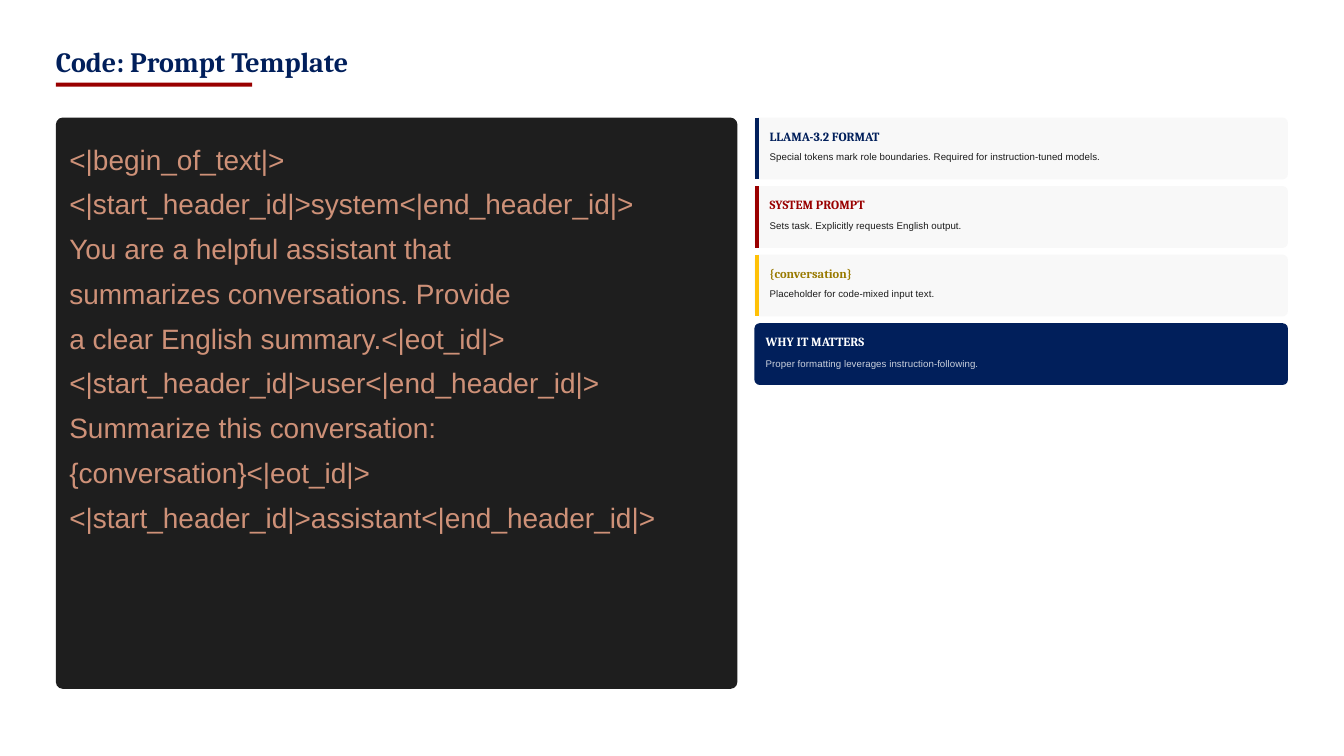
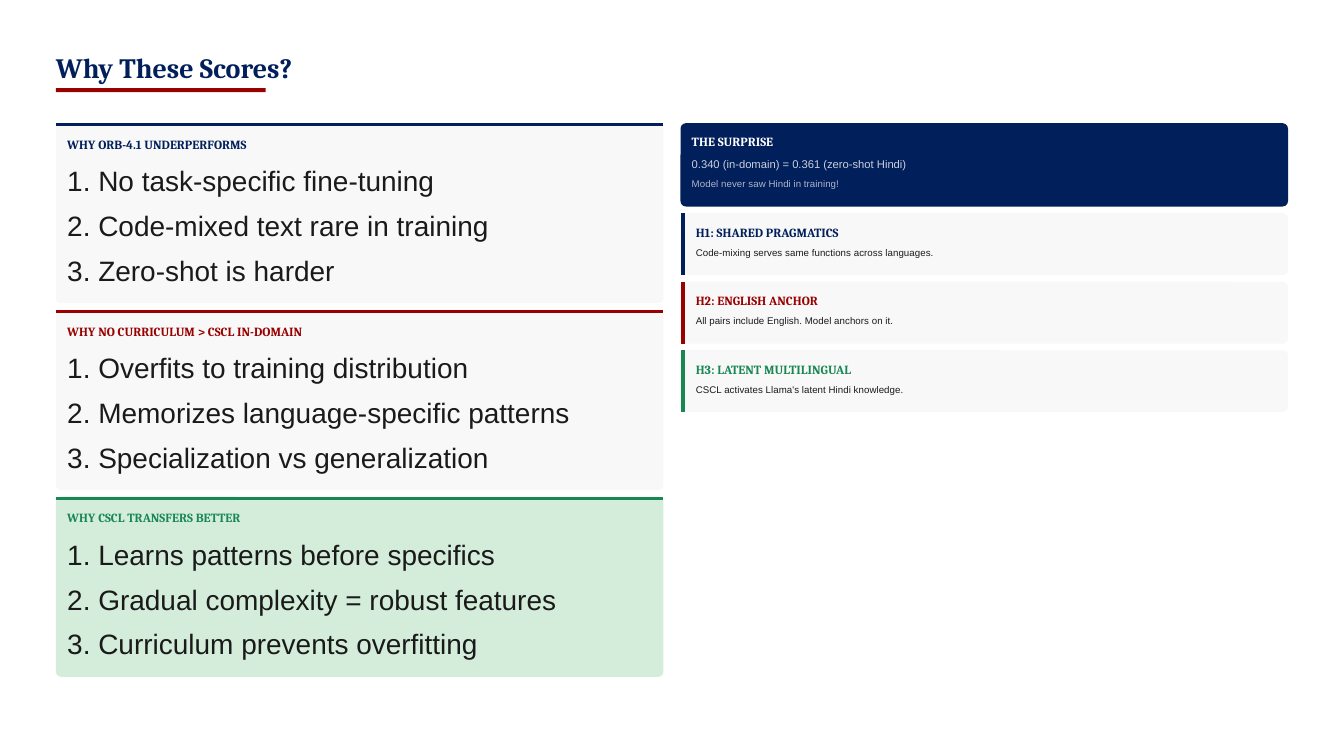
"""Build two slides on a prompt template and on the scores of its models."""
from dataclasses import dataclass

from lxml import etree
from pptx import Presentation
from pptx import util as u
from pptx.dml import color
from pptx.enum import shapes, text
from pptx.oxml import ns

HUES = {
    "navy": "011F5B", "red": "990000", "gold": "FFC107", "olive": "997A00",
    "green": "198754", "mint": "D4EDDA", "pale": "F8F8F8", "white": "FFFFFF",
    "black": "1E1E1E", "ink": "1A1A1A", "peach": "CE9178",
}
LEFT = 5 / 12
RIGHT = 10 - LEFT
PAD = 1 / 12
NOTE_TALL = 0.46
NOTE_STEP = 0.51
PANEL_TALL = 1.34
PANEL_STEP = 1.39
LINE_STEP = 1 / 3


@dataclass(frozen=True)
class Style:
    font: str
    size: float
    lead: float
    after: float = 0
    bold: bool = False
    tall: float = 0.1


TITLE = Style("Cambria", 15, 15, bold=True, tall=0.21)
HEAD = Style("Cambria", 6.75, 8.1, 2.25, True, 0.11)
LARGE = Style("Arial", 15, 21, 3, tall=0.29)
SMALL = Style("Arial", 5.25, 6.8, 3, tall=0.09)
FINE = Style("Arial", 5.25, 7.35, 3)
FACT = Style("Arial", 6, 8.4, 3, tall=0.12)


@dataclass(frozen=True)
class Note:
    head: str
    body: str
    edge: str
    hue: str


@dataclass(frozen=True)
class Panel:
    head: str
    lines: tuple[str, ...]
    hue: str
    fill: str = "pale"


@dataclass(frozen=True)
class Row:
    words: str
    style: Style
    drop: float
    alpha: int = 100


CODE = (
    "<|begin_of_text|>",
    "<|start_header_id|>system<|end_header_id|>",
    "You are a helpful assistant that",
    "summarizes conversations. Provide",
    "a clear English summary.<|eot_id|>",
    "<|start_header_id|>user<|end_header_id|>",
    "Summarize this conversation:",
    "{conversation}<|eot_id|>",
    "<|start_header_id|>assistant<|end_header_id|>",
)
PARTS = (
    Note("LLAMA-3.2 FORMAT",
         "Special tokens mark role boundaries. Required for instruction-tuned models.",
         "navy", "navy"),
    Note("SYSTEM PROMPT", "Sets task. Explicitly requests English output.", "red", "red"),
    Note("{conversation}", "Placeholder for code-mixed input text.", "gold", "olive"),
)
MATTERS = (
    Row("WHY IT MATTERS", HEAD, 0.08),
    Row("Proper formatting leverages instruction-following.", FINE, 0.24, 80),
)
CAUSES = (
    Panel("WHY ORB-4.1 UNDERPERFORMS",
          ("1. No task-specific fine-tuning", "2. Code-mixed text rare in training",
           "3. Zero-shot is harder"), "navy"),
    Panel("WHY NO CURRICULUM > CSCL IN-DOMAIN",
          ("1. Overfits to training distribution", "2. Memorizes language-specific patterns",
           "3. Specialization vs generalization"), "red"),
    Panel("WHY CSCL TRANSFERS BETTER",
          ("1. Learns patterns before specifics", "2. Gradual complexity = robust features",
           "3. Curriculum prevents overfitting"), "green", "mint"),
)
TWIST = (
    Row("THE SURPRISE", HEAD, 0.08),
    Row("0.340 (in-domain) = 0.361 (zero-shot Hindi)", FACT, 0.24, 80),
    Row("Model never saw Hindi in training!", FINE, 0.39, 67),
)
IDEAS = (
    Note("H1: SHARED PRAGMATICS", "Code-mixing serves same functions across languages.",
         "navy", "navy"),
    Note("H2: ENGLISH ANCHOR", "All pairs include English. Model anchors on it.",
         "red", "red"),
    Note("H3: LATENT MULTILINGUAL", "CSCL activates Llama's latent Hindi knowledge.",
         "green", "green"),
)


def rgb(hue: str) -> color.RGBColor:
    return color.RGBColor.from_string(HUES[hue])


def write(shape, words: str, style: Style, hue: str, alpha: int = 100) -> None:
    frame = shape.text_frame
    frame.word_wrap = True
    frame.auto_size = text.MSO_AUTO_SIZE.NONE
    frame.vertical_anchor = text.MSO_ANCHOR.TOP
    frame.margin_left = frame.margin_right = frame.margin_top = frame.margin_bottom = 0
    para = frame.paragraphs[0]
    para.alignment = text.PP_ALIGN.LEFT
    para.line_spacing = u.Pt(style.lead)
    para.space_before = u.Pt(0)
    para.space_after = u.Pt(style.after)
    run = para.add_run()
    run.text = words
    run.font.name = style.font
    run.font.size = u.Pt(style.size)
    run.font.bold = style.bold
    run.font.color.rgb = rgb(hue)
    if alpha < 100:
        tint = run._r.find(".//" + ns.qn("a:srgbClr"))
        etree.SubElement(tint, ns.qn("a:alpha")).set("val", str(alpha * 1000))


def label(slide, x: float, y: float, wide: float, words: str, style: Style,
          hue: str, alpha: int = 100) -> None:
    box = slide.shapes.add_textbox(u.Inches(x), u.Inches(y), u.Inches(wide),
                                   u.Inches(style.tall))
    write(box, words, style, hue, alpha)


def block(slide, x: float, y: float, wide: float, tall: float, hue: str,
          curve: float = 0.04) -> None:
    kind = shapes.MSO_SHAPE.ROUNDED_RECTANGLE if curve else shapes.MSO_SHAPE.RECTANGLE
    shape = slide.shapes.add_shape(kind, u.Inches(x), u.Inches(y), u.Inches(wide),
                                   u.Inches(tall))
    if curve:
        shape.adjustments[0] = curve / min(wide, tall)
    shape.shadow.inherit = False
    shape.fill.solid()
    shape.fill.fore_color.rgb = rgb(hue)
    shape.line.fill.background()


def stroke(slide, x: float, y: float, to_x: float, to_y: float, hue: str,
           weight: float) -> None:
    line = slide.shapes.add_connector(shapes.MSO_CONNECTOR.STRAIGHT, u.Inches(x),
                                      u.Inches(y), u.Inches(to_x), u.Inches(to_y))
    line.line.color.rgb = rgb(hue)
    line.line.width = u.Pt(weight)
    etree.SubElement(line._element.spPr, ns.qn("a:effectLst"))


def start(deck, words: str, top: float, rule: float):
    slide = deck.slides.add_slide(deck.slide_layouts[5])
    slide.background.fill.solid()
    slide.background.fill.fore_color.rgb = rgb("white")
    title = slide.shapes.title
    title.left, title.top = u.Inches(LEFT), u.Inches(top)
    title.width, title.height = u.Inches(4.69), u.Inches(TITLE.tall)
    write(title, words, TITLE, "navy")
    block(slide, LEFT, top + 0.24, rule, 0.03, "red", curve=0)
    return slide


def stack(slide, x: float, top: float, notes: tuple[Note, ...]) -> None:
    wide = RIGHT - x
    inset = PAD + 0.03
    for i, note in enumerate(notes):
        y = top + i * NOTE_STEP
        block(slide, x, y, wide, NOTE_TALL, "pale")
        edge = x + 0.02
        stroke(slide, edge, y, edge, y + NOTE_TALL, note.edge, 2.25)
        label(slide, x + inset, y + PAD, wide - inset, note.head, HEAD, note.hue)
        label(slide, x + inset, y + 0.24, wide - inset, note.body, SMALL, "ink")


def banner(slide, x: float, y: float, tall: float, rows: tuple[Row, ...]) -> None:
    wide = RIGHT - x
    block(slide, x, y, wide, tall, "navy")
    for row in rows:
        label(slide, x + PAD, y + row.drop, wide - PAD, row.words, row.style,
              "white", row.alpha)


def column(slide, x: float, y: float, wide: float, lines: tuple[str, ...],
           hue: str) -> None:
    for i, words in enumerate(lines):
        label(slide, x, y + i * LINE_STEP, wide, words, LARGE, hue)


def prompt(deck) -> None:
    head = 3 / 8
    slide = start(deck, "Code: Prompt Template", head, 1.46)
    top, side = head + 0.5, RIGHT - 3.97
    block(slide, LEFT, top, 5.07, 4.25, "black", curve=0.05)
    column(slide, LEFT + 0.1, top + 0.14, 4.96, CODE, "peach")
    stack(slide, side, top, PARTS)
    banner(slide, side, top + len(PARTS) * NOTE_STEP, NOTE_TALL, MATTERS)


def scores(deck) -> None:
    head = 5 / 12
    slide = start(deck, "Why These Scores?", head, 1.56)
    top, wide = head + 0.5, 4.52
    side = RIGHT - wide
    for i, panel in enumerate(CAUSES):
        y = top + i * PANEL_STEP
        block(slide, LEFT, y, wide, PANEL_TALL, panel.fill)
        stroke(slide, LEFT, y + 0.01, LEFT + wide, y + 0.01, panel.hue, 1.5)
        label(slide, LEFT + PAD, y + 0.1, wide - PAD, panel.head, HEAD, panel.hue)
        column(slide, LEFT + PAD, y + 0.26, wide - PAD, panel.lines, "ink")
    banner(slide, side, top, 0.62, TWIST)
    stack(slide, side, top + 0.67, IDEAS)


def main() -> None:
    deck = Presentation()
    deck.slide_width = u.Inches(10)
    deck.slide_height = deck.slide_width * 9 // 16
    prompt(deck)
    scores(deck)
    deck.save("out.pptx")


if __name__ == "__main__":
    main()
